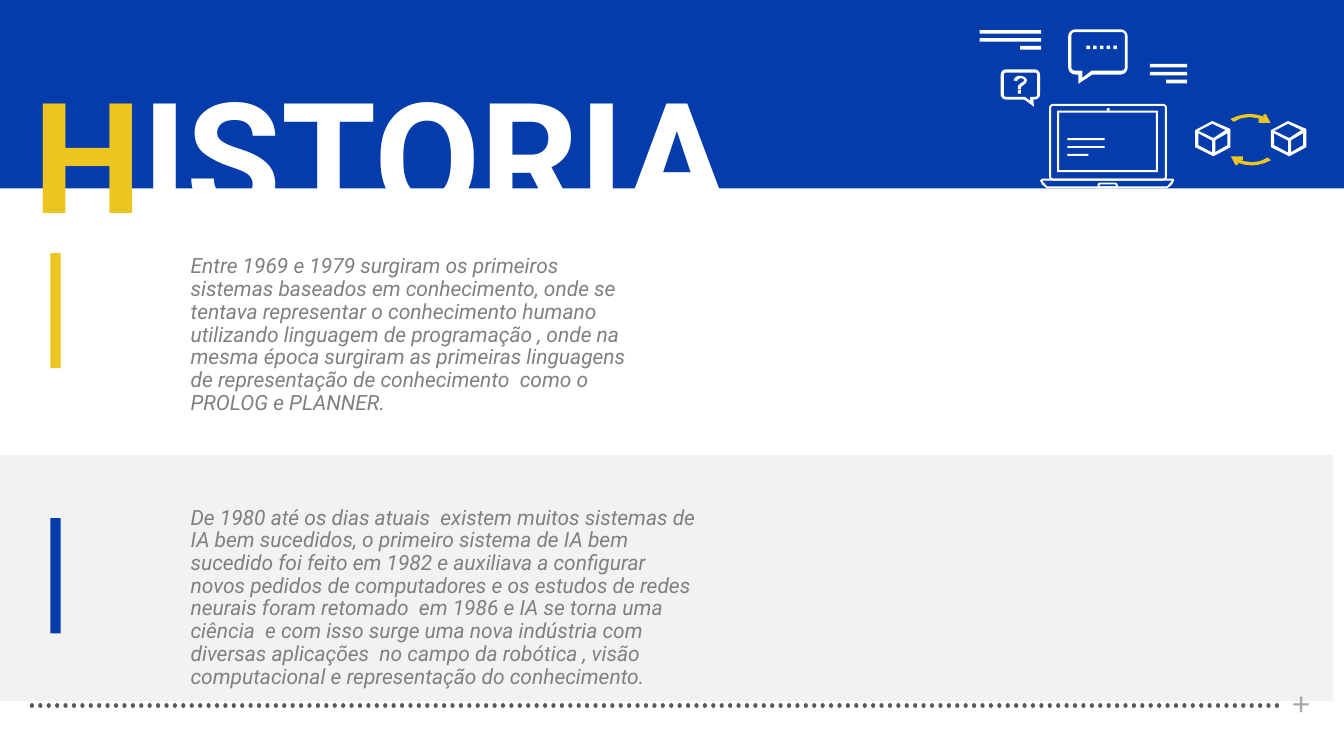
from math import cos, pi, sin

from lxml import etree
from pptx import Presentation
from pptx.dml.color import RGBColor
from pptx.enum.dml import MSO_LINE
from pptx.enum.shapes import MSO_CONNECTOR, MSO_SHAPE
from pptx.enum.text import MSO_ANCHOR, MSO_AUTO_SIZE, PP_ALIGN
from pptx.oxml.ns import qn
from pptx.util import Cm, Pt

RECT, OVAL = MSO_SHAPE.RECTANGLE, MSO_SHAPE.OVAL
STRAIGHT, DOTTED = MSO_CONNECTOR.STRAIGHT, MSO_LINE.ROUND_DOT
TOP, GROW = MSO_ANCHOR.TOP, MSO_AUTO_SIZE.SHAPE_TO_FIT_TEXT
LEFT, CENTER = PP_ALIGN.LEFT, PP_ALIGN.CENTER
TWO_CONTENT = 3

COLORS = {"blue": "043CAC", "yellow": "ECC520", "white": "FFFFFF", "panel": "F2F2F2",
          "body": "808080", "dots": "595959", "plus": "A6A6A6"}

ERAS = [
    ("yellow", 6.38, (4.55, 6.32, 11.94, 4.29),
     "Entre 1969 e 1979 surgiram os primeiros sistemas baseados em conhecimento, onde se "
     "tentava representar o conhecimento humano utilizando linguagem de programação , onde na "
     "mesma época surgiram as primeiras linguagens de representação de conhecimento  como o "
     "PROLOG e PLANNER."),
    ("blue", 13.06, (4.55, 12.65, 13.46, 4.88),
     "De 1980 até os dias atuais  existem muitos sistemas de IA bem sucedidos, o primeiro "
     "sistema de IA bem sucedido foi feito em 1982 e auxiliava a configurar novos pedidos de "
     "computadores e os estudos de redes neurais foram retomado  em 1986 e IA se torna uma "
     "ciência  e com isso surge uma nova indústria com diversas aplicações  no campo da "
     "robótica , visão computacional e representação do conhecimento."),
]

QUESTION_HOOK = [(25.73, 2.24), (25.65, 2.24), (25.66, 2.16), (25.72, 2.1), (25.79, 2.06),
                 (25.81, 2.02), (25.79, 1.99), (25.73, 1.97), (25.67, 1.99), (25.63, 2.04),
                 (25.54, 2.03), (25.58, 1.96), (25.64, 1.92), (25.72, 1.91), (25.82, 1.94),
                 (25.87, 1.99), (25.88, 2.04), (25.85, 2.1), (25.77, 2.16), (25.73, 2.2)]
CUBE_OUTER = [(0.46, 0.89), (0, 0.66), (0, 0.23), (0.43, 0), (0.89, 0.2), (0.89, 0.66)]
CUBE_INNER = [(0.08, 0.61), (0.46, 0.81), (0.81, 0.61), (0.81, 0.25), (0.43, 0.07), (0.08, 0.25)]
CUBE_EDGES = [(0.46, 0.51), (0.02, 0.28), (0.05, 0.23), (0.46, 0.43), (0.81, 0.2), (0.86, 0.28)]
ARROW_ARC = [(-0.51, -0.52), (-0.35, -0.59), (-0.2, -0.63), (-0.02, -0.65), (0.16, -0.63),
             (0.3, -0.59), (0.43, -0.52), (0.35, -0.45), (0.22, -0.53), (-0.02, -0.57),
             (-0.24, -0.54), (-0.43, -0.45)]
ARROW_HEAD = [(0.5, -0.42), (0.2, -0.42), (0.2, -0.52), (0.36, -0.52), (0.31, -0.62),
              (0.38, -0.65)]
BASE_OUTER = [(29.41, 4.75), (26.39, 4.75), (26.27, 4.66), (26.21, 4.55), (26.26, 4.5),
              (29.57, 4.5), (29.59, 4.55), (29.53, 4.66)]
BASE_INNER = [(26.26, 4.55), (26.39, 4.7), (29.41, 4.7), (29.54, 4.55)]


def rgb(name):
    """Return the named palette colour."""
    return RGBColor.from_string(COLORS[name])


def assign(target, values):
    """Set every attribute given in a dict."""
    for key, value in values.items():
        setattr(target, key, value)


def paint(shape, color):
    """Give a shape a flat fill without line or shadow."""
    shape.shadow.inherit = False
    shape.fill.solid()
    shape.fill.fore_color.rgb = rgb(color)
    shape.line.fill.background()


def block(slide, color, left, top, width, height, kind=RECT):
    """Draw a filled preset shape."""
    paint(slide.shapes.add_shape(kind, Cm(left), Cm(top), Cm(width), Cm(height)), color)


def outline(slide, color, *contours):
    """Draw closed contours as one shape, inner contours being holes."""
    contours = [[(Cm(x), Cm(y)) for x, y in contour] for contour in contours]
    builder = slide.shapes.build_freeform(*contours[0][0], scale=1.0)
    for index, contour in enumerate(contours):
        if index:
            builder.move_to(*contour[0])
        builder.add_line_segments(contour[1:], close=True)
    paint(builder.convert_to_shape(), color)


def box(left, top, right, bottom):
    """Return the corners of a rectangle."""
    return [(left, top), (right, top), (right, bottom), (left, bottom)]


def rounded(left, top, right, bottom, radius, tail=()):
    """Return a rounded rectangle with an optional tail on its lower side."""
    centers = box(left + radius, top + radius, right - radius, bottom - radius)
    points = []
    for corner, (x, y) in enumerate(centers):
        angles = [pi + (corner + step / 4) * pi / 2 for step in range(5)]
        points += [(x + radius * cos(a), y + radius * sin(a)) for a in angles]
        if corner == 2:
            points += tail
    return points


def text_lines(slide, left, top, thickness, width=0.94, flush_right=True):
    """Draw two full bars and a short third one."""
    short = 0.53
    for row in range(2):
        block(slide, "white", left, top + 0.2 * row, width, thickness)
    indent = width - short if flush_right else 0
    block(slide, "white", left + indent, top + 0.4, short, thickness)


def speech_bubbles(slide):
    """Draw the question bubble and the typing bubble."""
    outline(slide, "white",
            rounded(25.22, 1.75, 26.21, 2.51, 0.13, [(26.04, 2.51), (26.06, 2.69), (25.81, 2.51)]),
            rounded(25.3, 1.83, 26.14, 2.44, 0.05, [(25.96, 2.44), (25.96, 2.54), (25.83, 2.44)]))
    outline(slide, "white", QUESTION_HOOK, box(25.65, 2.26, 25.73, 2.36))
    outline(slide, "white",
            rounded(26.92, 0.74, 28.42, 1.88, 0.18, [(27.53, 1.88), (27.18, 2.11), (27.18, 1.88)]),
            rounded(27, 0.81, 28.35, 1.78, 0.08, [(27.51, 1.78), (27.28, 1.96), (27.28, 1.78)]))
    dots = [27.38 + 0.17 * n for n in range(5)]
    outline(slide, "white", *[box(x, 1.15, x + 0.09, 1.24) for x in dots])


def cube(slide, left, top):
    """Draw a wireframe cube."""
    outer, inner, edges = ([(left + x, top + y) for x, y in part]
                           for part in (CUBE_OUTER, CUBE_INNER, CUBE_EDGES))
    outline(slide, "white", outer, inner)
    outline(slide, "white", edges)
    block(slide, "white", left + 0.43, top + 0.46, 0.08, 0.38)


def exchange_arrows(slide, x, y):
    """Draw two curved arrows, one the half turn of the other."""
    for turn in (1, -1):
        for part in (ARROW_ARC, ARROW_HEAD):
            outline(slide, "yellow", [(x + turn * dx, y + turn * dy) for dx, dy in part])


def laptop(slide):
    """Draw the laptop."""
    outline(slide, "white", rounded(26.44, 2.62, 29.41, 4.55, 0.1),
            rounded(26.49, 2.67, 29.36, 4.5, 0.05))
    outline(slide, "white", BASE_OUTER, BASE_INNER)
    outline(slide, "white", rounded(27.66, 4.6, 28.17, 4.75, 0.07),
            rounded(27.71, 4.65, 28.12, 4.7, 0.02))
    outline(slide, "white", box(26.64, 2.79, 29.18, 4.34), box(26.69, 2.84, 29.13, 4.29))
    text_lines(slide, 26.9, 3.48, 0.05, flush_right=False)
    block(slide, "white", 27.89, 2.72, 0.08, 0.08, OVAL)


def write(slide, shape, place, runs, font, paragraph, wrap=True):
    """Place a text shape in front and fill it with coloured runs."""
    slide.shapes._spTree.append(shape._element)
    assign(shape, dict(zip(("left", "top", "width", "height"), map(Cm, place))))
    frame = shape.text_frame
    assign(frame, {"word_wrap": wrap, "auto_size": GROW, "vertical_anchor": TOP})
    line = frame.paragraphs[0]
    assign(line, paragraph)
    for text, color in runs:
        run = line.add_run()
        run.text = text
        assign(run.font, font)
        run.font.color.rgb = rgb(color)
    return line


def no_bullet(line):
    """Remove the bullet and its indent."""
    properties = line._p.get_or_add_pPr()
    properties.set("marL", "0")
    properties.set("indent", "0")
    etree.SubElement(properties, qn("a:buNone"))


def footer(slide):
    """Draw the dotted rule and its plus sign."""
    rule = slide.shapes.add_connector(STRAIGHT, Cm(32.18), Cm(17.78), Cm(0.76), Cm(17.78))
    rule.line.color.rgb = rgb("dots")
    assign(rule.line, {"width": Pt(3), "dash_style": DOTTED})
    rule.line._get_or_add_ln().set("cap", "rnd")
    etree.SubElement(rule._element.spPr, qn("a:effectLst"))
    place = (31.98, 17.07, 1.63, 1.27)
    plus = slide.shapes.add_textbox(*map(Cm, place))
    write(slide, plus, place, [("+", "plus")], {"size": Pt(24), "name": "Calibri"},
          {"alignment": CENTER})


def main():
    """Build and save the slide."""
    deck = Presentation()
    assign(deck, {"slide_width": Cm(33.87), "slide_height": Cm(19.05)})
    slide = deck.slides.add_slide(deck.slide_layouts[TWO_CONTENT])
    title, *bodies = slide.placeholders
    block(slide, "panel", -0.28, 11.46, 33.87, 6.2)
    block(slide, "blue", 0, 0, 33.87, 4.75)
    footer(slide)
    write(slide, title, (0.58, 0.43, 18.62, 5.38), [("H", "yellow"), ("ISTORIA", "white")],
          {"size": Pt(110), "name": "Roboto", "bold": True},
          {"alignment": LEFT, "line_spacing": 1.2}, wrap=False)
    speech_bubbles(slide)
    text_lines(slide, 24.69, 0.76, 0.09, width=1.55)
    text_lines(slide, 28.98, 1.61, 0.09)
    for left in (30.12, 32.03):
        cube(slide, left, 3.05)
    exchange_arrows(slide, 31.52, 3.52)
    laptop(slide)
    for body, (color, marker_top, place, story) in zip(bodies, ERAS):
        block(slide, color, 1.27, marker_top, 0.26, 2.9)
        line = write(slide, body, place, [(story, "body")],
                     {"size": Pt(15), "name": "Roboto", "italic": True},
                     {"alignment": LEFT, "line_spacing": 0.9, "space_before": Pt(2),
                      "space_after": Pt(2)})
        no_bullet(line)
    deck.save("out.pptx")


if __name__ == "__main__":
    main()
